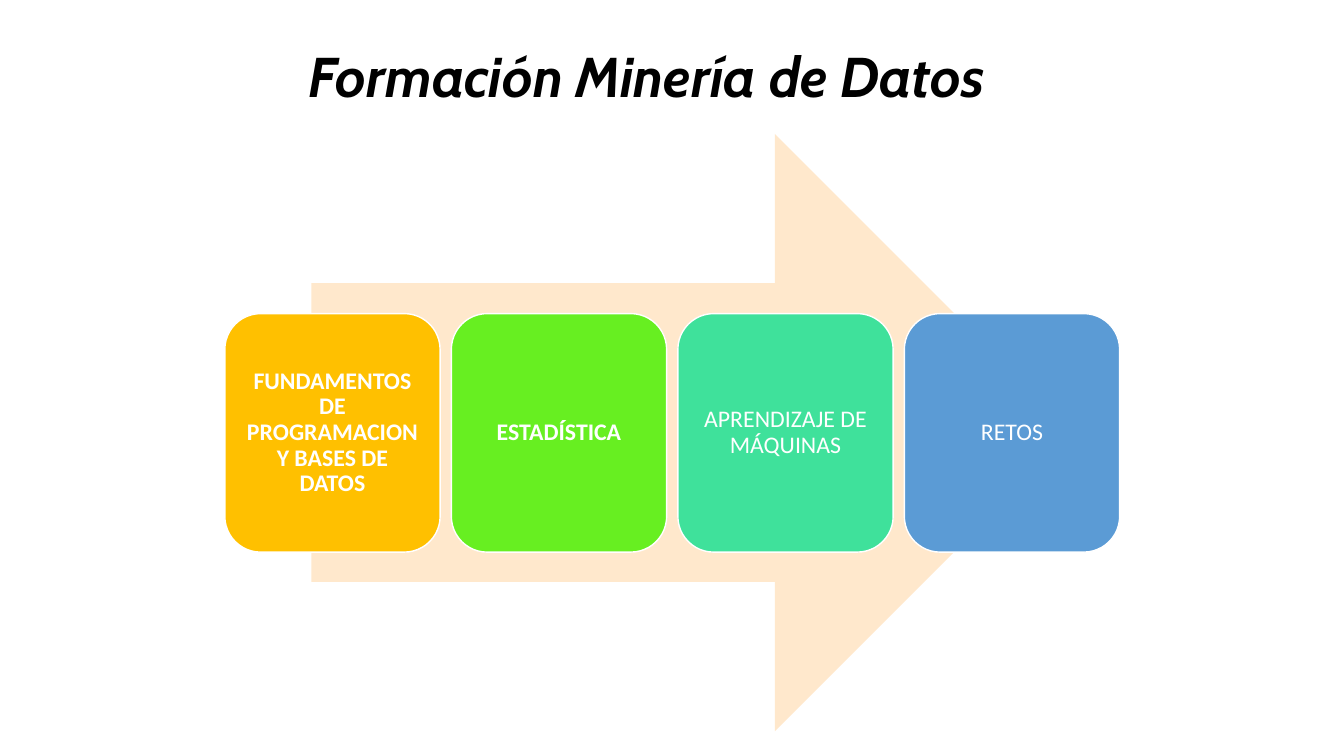
from dataclasses import dataclass

from pptx import Presentation
from pptx.dml.color import RGBColor
from pptx.enum.shapes import MSO_SHAPE
from pptx.enum.text import MSO_ANCHOR, MSO_AUTO_SIZE, PP_ALIGN
from pptx.slide import Slide
from pptx.util import Pt


@dataclass(frozen=True)
class Theme:
    title_font: str = "Cabin"
    body_font: str = "Calibri"
    title_size: float = 40
    card_size: float = 17
    white: RGBColor = RGBColor(0xFF, 0xFF, 0xFF)
    black: RGBColor = RGBColor(0x00, 0x00, 0x00)
    arrow: RGBColor = RGBColor(0xFF, 0xE8, 0xCC)
    amber: RGBColor = RGBColor(0xFF, 0xC0, 0x00)
    lime: RGBColor = RGBColor(0x67, 0xEF, 0x21)
    mint: RGBColor = RGBColor(0x3F, 0xE1, 0x9B)
    blue: RGBColor = RGBColor(0x5B, 0x9B, 0xD5)


@dataclass(frozen=True)
class Stage:
    label: str
    fill: RGBColor
    bold: bool


THEME = Theme()
STAGES = [
    Stage("FUNDAMENTOS DE PROGRAMACION Y BASES DE DATOS", THEME.amber, True),
    Stage("ESTADÍSTICA", THEME.lime, True),
    Stage("APRENDIZAJE DE MÁQUINAS", THEME.mint, False),
    Stage("RETOS", THEME.blue, False),
]
CARD_LEFT, CARD_TOP = 160.6, 224
CARD_WIDTH, CARD_HEIGHT = 153.8, 170.4
CARD_PITCH = 161.8
CARD_INSET = 5


def set_title(slide: Slide, text: str) -> None:
    title = slide.shapes.title
    title.left, title.top = Pt(141), Pt(17.3)
    title.width, title.height = Pt(641.5), Pt(67.7)
    title.fill.solid()
    title.fill.fore_color.rgb = THEME.white
    frame = title.text_frame
    frame.text = text
    frame.word_wrap = True
    frame.auto_size = MSO_AUTO_SIZE.NONE
    frame.vertical_anchor = MSO_ANCHOR.BOTTOM
    frame.margin_left = frame.margin_right = frame.margin_bottom = Pt(7.2)
    frame.margin_top = Pt(3.6)
    para = frame.paragraphs[0]
    para.alignment = PP_ALIGN.CENTER
    font = para.runs[0].font
    font.name, font.size = THEME.title_font, Pt(THEME.title_size)
    font.bold = font.italic = True
    font.color.rgb = THEME.black


def add_background_arrow(slide: Slide) -> None:
    arrow = slide.shapes.add_shape(
        MSO_SHAPE.RIGHT_ARROW, Pt(222.5), Pt(95.7), Pt(544.3), Pt(426.6))
    arrow.shadow.inherit = False
    arrow.fill.solid()
    arrow.fill.fore_color.rgb = THEME.arrow
    arrow.line.fill.background()


def add_stage_card(slide: Slide, stage: Stage, left: float) -> None:
    card = slide.shapes.add_shape(
        MSO_SHAPE.ROUNDED_RECTANGLE,
        Pt(left), Pt(CARD_TOP), Pt(CARD_WIDTH), Pt(CARD_HEIGHT))
    card.shadow.inherit = False
    card.fill.solid()
    card.fill.fore_color.rgb = stage.fill
    card.line.color.rgb = THEME.white
    card.line.width = Pt(1)
    frame = card.text_frame
    frame.text = stage.label
    frame.word_wrap = True
    frame.vertical_anchor = MSO_ANCHOR.MIDDLE
    frame.margin_left = frame.margin_right = Pt(CARD_INSET)
    frame.margin_top = frame.margin_bottom = Pt(CARD_INSET)
    para = frame.paragraphs[0]
    para.alignment = PP_ALIGN.CENTER
    para.line_spacing = 0.9
    font = para.runs[0].font
    font.name, font.size = THEME.body_font, Pt(THEME.card_size)
    font.bold = stage.bold
    font.color.rgb = THEME.white


def main() -> None:
    deck = Presentation()
    deck.slide_width, deck.slide_height = Pt(960), Pt(540)
    title_only = deck.slide_layouts.get_by_name("Title Only")
    slide = deck.slides.add_slide(title_only)
    set_title(slide, "Formación Minería de Datos")
    add_background_arrow(slide)
    for index, stage in enumerate(STAGES):
        add_stage_card(slide, stage, CARD_LEFT + index * CARD_PITCH)
    deck.save("out.pptx")


if __name__ == "__main__":
    main()
